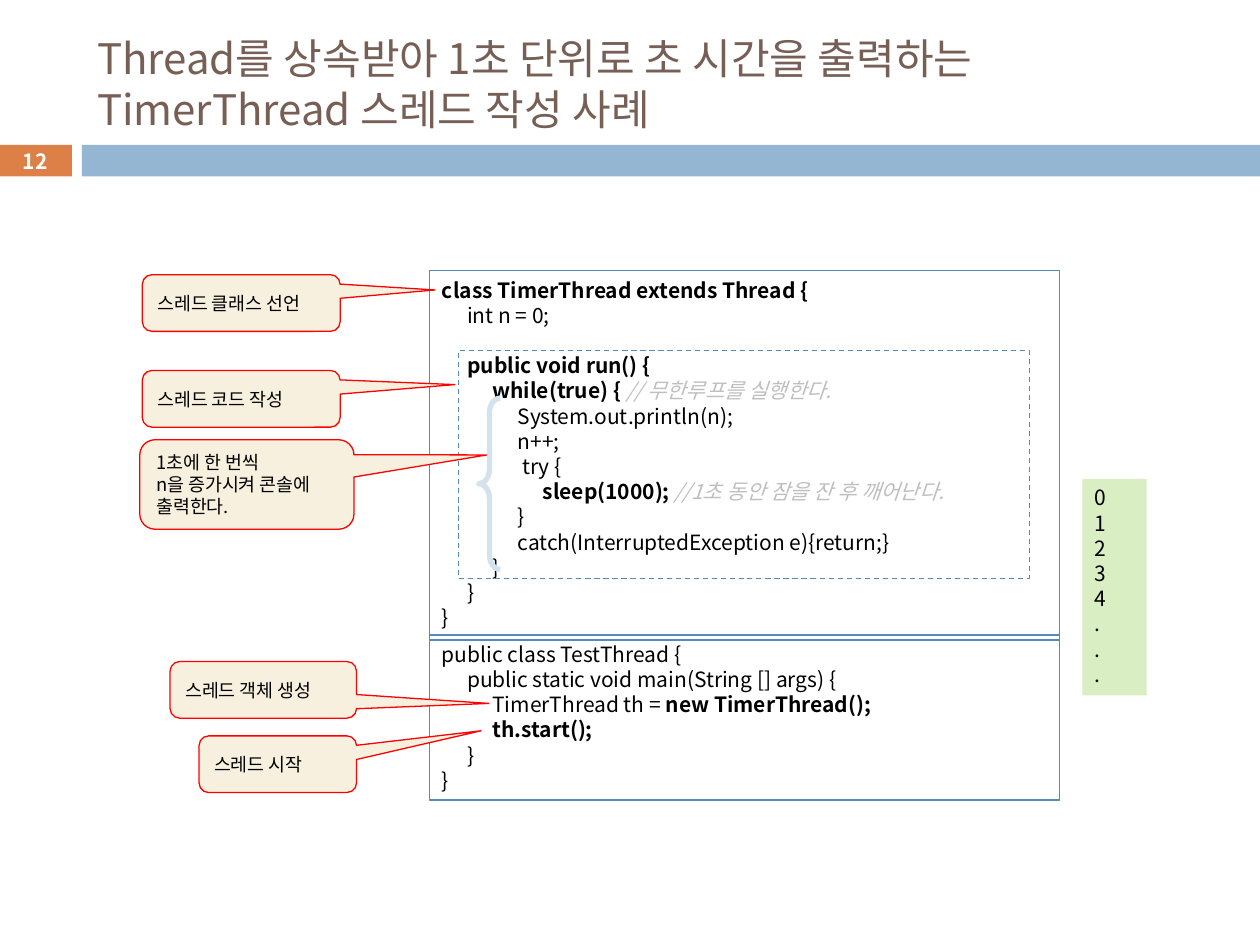
from dataclasses import dataclass
from typing import NamedTuple

import pptx
import pptx.dml.color
import pptx.enum.dml
import pptx.enum.shapes
import pptx.enum.text
import pptx.oxml
import pptx.oxml.ns
import pptx.util
from pptx.util import Inches

SHAPES = pptx.enum.shapes.MSO_SHAPE
ANCHORS = pptx.enum.text.MSO_ANCHOR
ALIGNS = pptx.enum.text.PP_ALIGN


@dataclass(frozen=True)
class Theme:
    font: str = "Noto Sans CJK KR"
    title: str = "775F55"
    text: str = "000000"
    comment: str = "BFBFBF"
    white: str = "FFFFFF"
    orange: str = "DD8047"
    blue: str = "94B6D2"
    frame: str = "558BB8"
    brace: str = "D4E2ED"
    callout: str = "F7F0DE"
    callout_line: str = "FF0000"
    output: str = "DAEEC4"
    title_size: float = 24
    code_size: float = 12
    note_size: float = 10.5
    line_ratio: float = 1.2
    tab: float = 0.2


class Area(NamedTuple):
    left: float
    top: float
    width: float
    height: float


class Span(NamedTuple):
    text: str
    bold: bool = False
    italic: bool = False
    color: str = ""


class Line(NamedTuple):
    depth: int
    spans: list[Span]
    gap: bool = False


class Callout(NamedTuple):
    area: Area
    tip: tuple[float, float]
    lines: list[str]


THEME = Theme()


def comment(text: str) -> Span:
    return Span(text, italic=True, color=THEME.comment)


def plain(depth: int, text: str) -> Line:
    return Line(depth, [Span(text)])


TIMER_CODE = [
    Line(0, [Span("class TimerThread extends Thread {", bold=True)]),
    plain(1, "int n = 0;"),
    Line(1, [Span("public void run() {", bold=True)], gap=True),
    Line(2, [Span("while(true) { ", bold=True), comment("// 무한루프를 실행한다.")]),
    plain(3, "System.out.println(n);"),
    plain(3, "n++;"),
    plain(3, " try {"),
    Line(4, [Span("sleep(1000); ", bold=True), comment("//1초 동안 잠을 잔 후 깨어난다.")]),
    plain(3, "}"),
    plain(3, "catch(InterruptedException e){return;}"),
    plain(2, "}"),
    plain(1, "}"),
    plain(0, "}"),
]
TEST_CODE = [
    plain(0, "public class TestThread {"),
    plain(1, "public static void main(String [] args) {"),
    Line(2, [Span("TimerThread th = "), Span("new TimerThread();", bold=True)]),
    Line(2, [Span("th.start();", bold=True)]),
    plain(1, "}"),
    plain(0, "}"),
]
CALLOUTS = [
    Callout(Area(1.35, 5.25, 1.48, 0.45), (1.21, 0.24), ["스레드 객체 생성"]),
    Callout(Area(1.58, 5.84, 1.25, 0.45), (1.29, -0.59), ["스레드 시작"]),
    Callout(Area(1.13, 2.18, 1.57, 0.45), (0.98, -0.23), ["스레드 클래스 선언"]),
    Callout(Area(1.13, 2.94, 1.57, 0.45), (1.08, -0.25), ["스레드 코드 작성"]),
    Callout(Area(1.11, 3.49, 1.7, 0.71), (1.12, -0.33),
            ["1초에 한 번씩", "n을 증가시켜 콘솔에", "출력한다."]),
]


def rgb(color: str) -> pptx.dml.color.RGBColor:
    return pptx.dml.color.RGBColor.from_string(color)


def place(box, area: Area) -> None:
    box.left, box.top, box.width, box.height = map(Inches, area)


def add_tabs(para, count: int) -> None:
    """Set evenly spaced tab stops for the code indents."""
    tabs = pptx.oxml.parse_xml(f'<a:tabLst {pptx.oxml.ns.nsdecls("a")}/>')
    for stop in range(1, count + 1):
        tab = tabs.makeelement(pptx.oxml.ns.qn("a:tab"),
                               {"pos": str(Inches(stop * THEME.tab)), "algn": "l"})
        tabs.append(tab)
    para._p.get_or_add_pPr().append(tabs)


def write(box, lines: list, *, size: float, color: str = THEME.text, bold: bool = False,
          align=ALIGNS.LEFT, anchor=ANCHORS.TOP) -> None:
    """Fill a box with plain strings or code Lines, one paragraph each."""
    frame = box.text_frame
    frame.word_wrap = True
    frame.auto_size = pptx.enum.text.MSO_AUTO_SIZE.NONE
    frame.vertical_anchor = anchor
    pitch = pptx.util.Pt(size * THEME.line_ratio)
    for index, item in enumerate(lines):
        line = item if isinstance(item, Line) else Line(0, [Span(item, bold)])
        para = frame.paragraphs[0] if index == 0 else frame.add_paragraph()
        para.alignment = align
        para.line_spacing = pitch
        para.space_before = pitch if line.gap else pptx.util.Pt(0)
        if line.depth:
            add_tabs(para, line.depth)
        for position, span in enumerate(line.spans):
            run = para.add_run()
            run.text = ("\t" * line.depth if position == 0 else "") + span.text
            font = run.font
            font.name, font.size = THEME.font, pptx.util.Pt(size)
            font.bold, font.italic = span.bold, span.italic
            font.color.rgb = rgb(span.color or color)
            latin = run._r.rPr.find(pptx.oxml.ns.qn("a:latin"))
            latin.addnext(latin.makeelement(pptx.oxml.ns.qn("a:ea"), {"typeface": THEME.font}))


def add_box(page, area: Area, kind=SHAPES.RECTANGLE, *, fill: str = "", line: str = "",
            weight: float = 0.75, adjustments: tuple = ()):
    box = page.shapes.add_shape(kind, *map(Inches, area))
    box.shadow.inherit = False
    if fill:
        box.fill.solid()
        box.fill.fore_color.rgb = rgb(fill)
    else:
        box.fill.background()
    if line:
        box.line.color.rgb = rgb(line)
        box.line.width = pptx.util.Pt(weight)
    else:
        box.line.fill.background()
    for index, value in enumerate(adjustments):
        box.adjustments[index] = value
    return box


def add_callout(page, note: Callout) -> None:
    box = add_box(page, note.area, SHAPES.ROUNDED_RECTANGULAR_CALLOUT, fill=THEME.callout,
                  line=THEME.callout_line, adjustments=(*note.tip, 0.17))
    write(box, note.lines, size=THEME.note_size, anchor=ANCHORS.MIDDLE)


def main() -> None:
    deck = pptx.Presentation()
    deck.slide_width, deck.slide_height = Inches(10), Inches(7.5)
    page = deck.slides.add_slide(deck.slide_layouts.get_by_name("Title Only"))

    title = page.shapes.title
    place(title, Area(0.67, 0.25, 8.92, 0.82))
    write(title, ["Thread를 상속받아 1초 단위로 초 시간을 출력하는 TimerThread 스레드 작성 사례"],
          size=THEME.title_size, color=THEME.title, anchor=ANCHORS.MIDDLE)

    number = add_box(page, Area(-0.01, 1.15, 0.58, 0.25), fill=THEME.orange)
    write(number, ["12"], size=THEME.code_size, color=THEME.white, bold=True,
          align=ALIGNS.CENTER, anchor=ANCHORS.MIDDLE)
    add_box(page, Area(0.65, 1.15, 9.35, 0.25), fill=THEME.blue)

    for area, code in ((Area(3.41, 2.15, 5, 2.93), TIMER_CODE),
                       (Area(3.41, 5.04, 5, 1.31), TEST_CODE)):
        write(add_box(page, area, line=THEME.frame), code, size=THEME.code_size)

    output = add_box(page, Area(8.59, 3.8, 0.51, 1.72), fill=THEME.output)
    write(output, [*"01234..."], size=THEME.code_size)

    run_frame = add_box(page, Area(3.64, 2.78, 4.53, 1.81), line=THEME.frame)
    run_frame.line.dash_style = pptx.enum.dml.MSO_LINE.DASH
    add_box(page, Area(3.8, 3.16, 0.17, 1.36), SHAPES.LEFT_BRACE, line=THEME.brace,
            weight=3, adjustments=(0.68, 0.5))
    for note in CALLOUTS:
        add_callout(page, note)

    deck.save("out.pptx")


if __name__ == "__main__":
    main()
